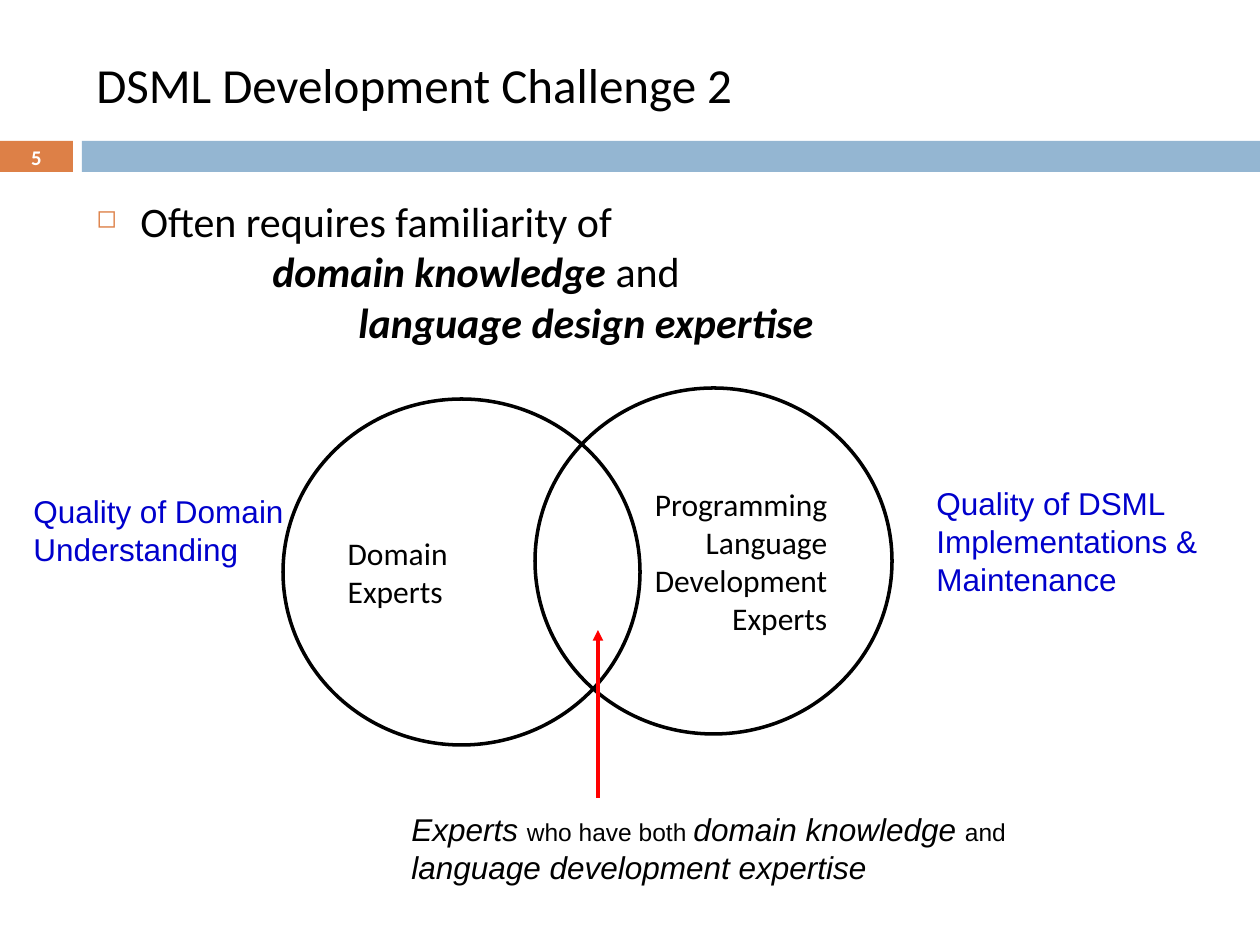
from dataclasses import dataclass

import lxml.etree
import pptx
import pptx.dml.color
import pptx.enum.shapes
import pptx.enum.text
import pptx.oxml.ns
import pptx.util

RGBColor = pptx.dml.color.RGBColor
Align = pptx.enum.text.PP_ALIGN
Anchor = pptx.enum.text.MSO_ANCHOR
Shapes = pptx.enum.shapes.MSO_SHAPE
qn = pptx.oxml.ns.qn

PX_PER_INCH = 126
BLACK = RGBColor(0x00, 0x00, 0x00)
WHITE = RGBColor(0xFF, 0xFF, 0xFF)
ORANGE = RGBColor(0xDD, 0x80, 0x47)
STEEL = RGBColor(0x94, 0xB6, 0xD2)
BLUE = RGBColor(0x00, 0x00, 0xCC)
RED = RGBColor(0xFF, 0x00, 0x00)


@dataclass(frozen=True)
class Box:
    left: int
    top: int
    width: int
    height: int


@dataclass(frozen=True)
class Run:
    text: str
    size: float = 18
    bold: bool = False
    italic: bool = False


@dataclass(frozen=True)
class Line:
    runs: tuple[Run, ...]
    indent: int = 0


@dataclass(frozen=True)
class Style:
    font: str = "Calibri"
    color: RGBColor = BLACK
    align: Align = Align.LEFT
    anchor: Anchor = Anchor.MIDDLE


@dataclass(frozen=True)
class Label:
    box: Box
    lines: tuple[Line, ...]
    style: Style = Style()


@dataclass(frozen=True)
class Circle:
    box: Box
    lines: tuple[Line, ...]
    style: Style


def plain(text: str, size: float = 18, bold: bool = False) -> Line:
    return Line((Run(text, size, bold),))


BANDS = ((Box(0, 141, 73, 31), ORANGE), (Box(82, 141, 1178, 31), STEEL))
BULLET_INDENT = 44
BODY = Label(
    Box(84, 189, 1124, 157),
    (
        Line((Run("Often requires familiarity of", 24),), BULLET_INDENT),
        Line((Run("domain knowledge", 24, True, True), Run(" and", 24)), 176),
        Line((Run("language design expertise", 24, True, True),), 262),
    ),
    Style(anchor=Anchor.TOP),
)
CIRCLES = (
    Circle(Box(283, 399, 357, 346), (plain("Domain"), plain("Experts")), Style()),
    Circle(Box(535, 388, 357, 346),
           (plain("Programming Language Development Experts"),), Style(align=Align.RIGHT)),
)
QUALITY = Style("Arial", BLUE)
LABELS = (
    Label(Box(84, 32, 1124, 104), (plain("DSML Development Challenge 2", 28),)),
    Label(Box(0, 140, 73, 34), (plain("5", 11.9, True),),
          Style(color=WHITE, align=Align.CENTER)),
    Label(Box(399, 804, 703, 90), (Line((
        Run("Experts ", italic=True),
        Run("who have both ", 14),
        Run("domain knowledge ", italic=True),
        Run("and ", 14),
        Run("language development expertise", italic=True),
    )),), Style("Arial", anchor=Anchor.TOP)),
    Label(Box(924, 473, 305, 136),
          (plain("Quality of DSML Implementations & Maintenance"),), QUALITY),
    Label(Box(21, 462, 305, 136), (plain("Quality of Domain Understanding"),), QUALITY),
)


def px(value: int) -> pptx.util.Emu:
    return pptx.util.Emu(round(value * pptx.util.Inches(1) / PX_PER_INCH))


def place(box: Box) -> tuple[pptx.util.Emu, ...]:
    return px(box.left), px(box.top), px(box.width), px(box.height)


def write_lines(shape, lines: tuple[Line, ...], style: Style) -> None:
    text_frame = shape.text_frame
    text_frame.word_wrap = True
    text_frame.vertical_anchor = style.anchor
    for index, line in enumerate(lines):
        paragraph = text_frame.add_paragraph() if index else text_frame.paragraphs[0]
        paragraph.alignment = style.align
        if line.indent:
            paragraph._p.get_or_add_pPr().set("marL", str(px(line.indent)))
        for part in line.runs:
            run = paragraph.add_run()
            run.text = part.text
            font = run.font
            font.name = style.font
            font.size = pptx.util.Pt(part.size)
            font.bold = part.bold
            font.italic = part.italic
            font.color.rgb = style.color


def add_bullet(paragraph) -> None:
    properties = paragraph._p.get_or_add_pPr()
    properties.set("indent", str(-px(BULLET_INDENT)))
    color = lxml.etree.SubElement(properties, qn("a:buClr"))
    lxml.etree.SubElement(color, qn("a:srgbClr"), val=str(ORANGE))
    lxml.etree.SubElement(properties, qn("a:buSzPct"), val="60000")
    lxml.etree.SubElement(properties, qn("a:buChar"), char="◻")


def add_label(slide, label: Label):
    shape = slide.shapes.add_textbox(*place(label.box))
    write_lines(shape, label.lines, label.style)
    return shape


def add_band(slide, box: Box, color: RGBColor) -> None:
    shape = slide.shapes.add_shape(Shapes.RECTANGLE, *place(box))
    shape.shadow.inherit = False
    shape.fill.solid()
    shape.fill.fore_color.rgb = color
    shape.line.fill.background()


def add_circle(slide, circle: Circle) -> None:
    shape = slide.shapes.add_shape(Shapes.OVAL, *place(circle.box))
    shape.shadow.inherit = False
    shape.fill.background()
    shape.line.color.rgb = BLACK
    shape.line.width = pptx.util.Pt(2)
    write_lines(shape, circle.lines, circle.style)


def add_arrow(slide, x: int, start: int, end: int) -> None:
    arrow = slide.shapes.add_connector(
        pptx.enum.shapes.MSO_CONNECTOR.STRAIGHT, px(x), px(start), px(x), px(end))
    arrow.line.color.rgb = RED
    arrow.line.width = pptx.util.Pt(2)
    lxml.etree.SubElement(arrow.line._get_or_add_ln(), qn("a:tailEnd"), type="triangle")
    lxml.etree.SubElement(arrow._element.spPr, qn("a:effectLst"))


def main() -> None:
    presentation = pptx.Presentation()
    presentation.slide_width = px(1260)
    presentation.slide_height = px(945)
    slide = presentation.slides.add_slide(presentation.slide_layouts[6])
    for box, color in BANDS:
        add_band(slide, box, color)
    body = add_label(slide, BODY)
    add_bullet(body.text_frame.paragraphs[0])
    for circle in CIRCLES:
        add_circle(slide, circle)
    for label in LABELS:
        add_label(slide, label)
    add_arrow(slide, 598, 798, 630)
    presentation.save("out.pptx")


if __name__ == "__main__":
    main()
